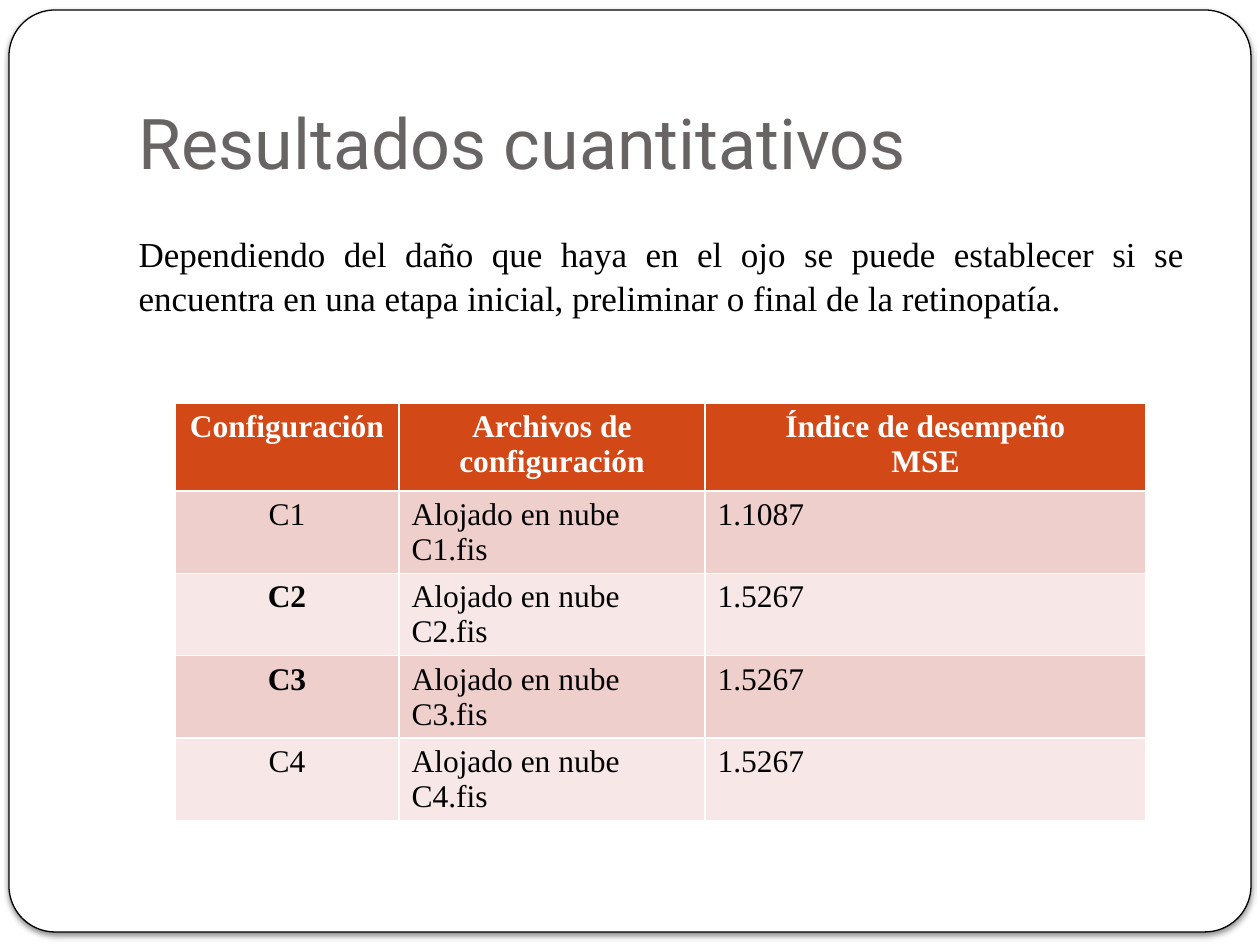
from lxml import etree
from pptx import Presentation
from pptx.dml.color import RGBColor
from pptx.enum.shapes import MSO_SHAPE
from pptx.enum.text import MSO_ANCHOR, MSO_AUTO_SIZE, PP_ALIGN
from pptx.oxml import parse_xml
from pptx.oxml.ns import nsdecls, qn
from pptx.util import Emu, Pt

PX = 914400 / 126
ROUNDED = MSO_SHAPE.ROUNDED_RECTANGLE
BOTTOM, TOP = MSO_ANCHOR.BOTTOM, MSO_ANCHOR.TOP
LEFT, CENTER, JUSTIFY = PP_ALIGN.LEFT, PP_ALIGN.CENTER, PP_ALIGN.JUSTIFY
NO_FIT = MSO_AUTO_SIZE.NONE

COLORS = {
    "white": "FFFFFF",
    "black": "000000",
    "title": "696464",
    "header": "D34817",
    "odd": "EECFCC",
    "even": "F7E8E7",
}
HEADING_FONT, BODY_FONT = "Roboto", "Times New Roman"

COLUMNS = [224, 306, 441]
HEADER_HEIGHT, ROW_HEIGHT = 88, 82
HEADERS = ["Configuración", "Archivos de configuración", "Índice de desempeño\nMSE"]
RESULTS = [("C1", "1.1087"), ("C2", "1.5267"), ("C3", "1.5267"), ("C4", "1.5267")]
HIGHLIGHTED = {"C2", "C3"}


def px(n):
    return Emu(round(n * PX))


def rgb(name):
    return RGBColor.from_string(COLORS[name])


def add_run(p, text, size, font, color, bold=False):
    r = p.add_run()
    r.text = text
    r.font.size = Pt(size)
    r.font.name = font
    r.font.bold = bold
    r.font.color.rgb = rgb(color)


def add_card(s, x, y, w, h):
    sp = s.shapes.add_shape(ROUNDED, px(x), px(y), px(w), px(h))
    sp.adjustments[0] = 0.05
    sp.fill.solid()
    sp.fill.fore_color.rgb = rgb("white")
    sp.line.color.rgb = rgb("black")
    sp.line.width = Pt(0.75)
    sp.shadow.inherit = False
    effects = sp._element.spPr.find(qn("a:effectLst"))
    effects.append(parse_xml(
        f'<a:outerShdw {nsdecls("a")} blurRad="{Pt(3)}" dist="{Pt(2)}" '
        f'dir="5400000" rotWithShape="0"><a:srgbClr val="{COLORS["black"]}">'
        '<a:alpha val="50000"/></a:srgbClr></a:outerShdw>'))
    s.shapes._spTree.insert(2, sp._element)


def fill_placeholder(sp, box, text, size, font, color, align, anchor, bottom=6):
    sp.left, sp.top, sp.width, sp.height = map(px, box)
    tf = sp.text_frame
    tf.word_wrap = True
    tf.auto_size = NO_FIT
    tf.vertical_anchor = anchor
    tf.margin_bottom = px(bottom)
    p = tf.paragraphs[0]
    p.alignment = align
    p.space_before = Pt(0)
    add_run(p, text, size, font, color)
    return p


def remove_bullet(p):
    pPr = p._p.get_or_add_pPr()
    pPr.set("marL", "0")
    pPr.set("indent", "0")
    etree.SubElement(pPr, qn("a:buNone"))


def set_borders(cell):
    tcPr = cell._tc.get_or_add_tcPr()
    for side in ("lnL", "lnR", "lnT", "lnB"):
        tcPr.append(parse_xml(
            f'<a:{side} {nsdecls("a")} w="{Pt(0.96)}"><a:solidFill>'
            f'<a:srgbClr val="{COLORS["white"]}"/></a:solidFill></a:{side}>'))


def fill_cell(cell, text, fill, color, align, bold):
    set_borders(cell)
    cell.fill.solid()
    cell.fill.fore_color.rgb = rgb(fill)
    tf = cell.text_frame
    for i, line in enumerate(text.split("\n")):
        p = tf.add_paragraph() if i else tf.paragraphs[0]
        p.alignment = align
        add_run(p, line, 18, BODY_FONT, color, bold)


def add_results_table(s, x, y):
    height = HEADER_HEIGHT + ROW_HEIGHT * len(RESULTS)
    frame = s.shapes.add_table(len(RESULTS) + 1, len(COLUMNS),
                               px(x), px(y), px(sum(COLUMNS)), px(height))
    table = frame.table
    for column, width in zip(table.columns, COLUMNS):
        column.width = px(width)
    for i, row in enumerate(table.rows):
        row.height = px(ROW_HEIGHT if i else HEADER_HEIGHT)
    for j, header in enumerate(HEADERS):
        fill_cell(table.cell(0, j), header, "header", "white", CENTER, True)
    for i, (name, mse) in enumerate(RESULTS, 1):
        fill = "odd" if i % 2 else "even"
        for j, text in enumerate((name, f"Alojado en nube {name}.fis", mse)):
            fill_cell(table.cell(i, j), text, fill, "black",
                      LEFT if j else CENTER, text in HIGHLIGHTED)


def main():
    prs = Presentation()
    prs.slide_width, prs.slide_height = px(1260), px(945)
    s = prs.slides.add_slide(prs.slide_layouts[1])
    add_card(s, 9, 10, 1242, 922)
    fill_placeholder(s.shapes.title, (126, 38, 1071, 158), "Resultados cuantitativos",
                     40, HEADING_FONT, "title", LEFT, BOTTOM, bottom=12)
    p = fill_placeholder(
        s.placeholders[1], (126, 224, 1071, 630),
        "Dependiendo del daño que haya en el ojo se puede establecer si se "
        "encuentra en una etapa inicial, preliminar o final de la retinopatía.",
        20, BODY_FONT, "black", JUSTIFY, TOP)
    p.line_spacing = 1.05
    remove_bullet(p)
    add_results_table(s, 175, 403)
    prs.save("out.pptx")


if __name__ == "__main__":
    main()
